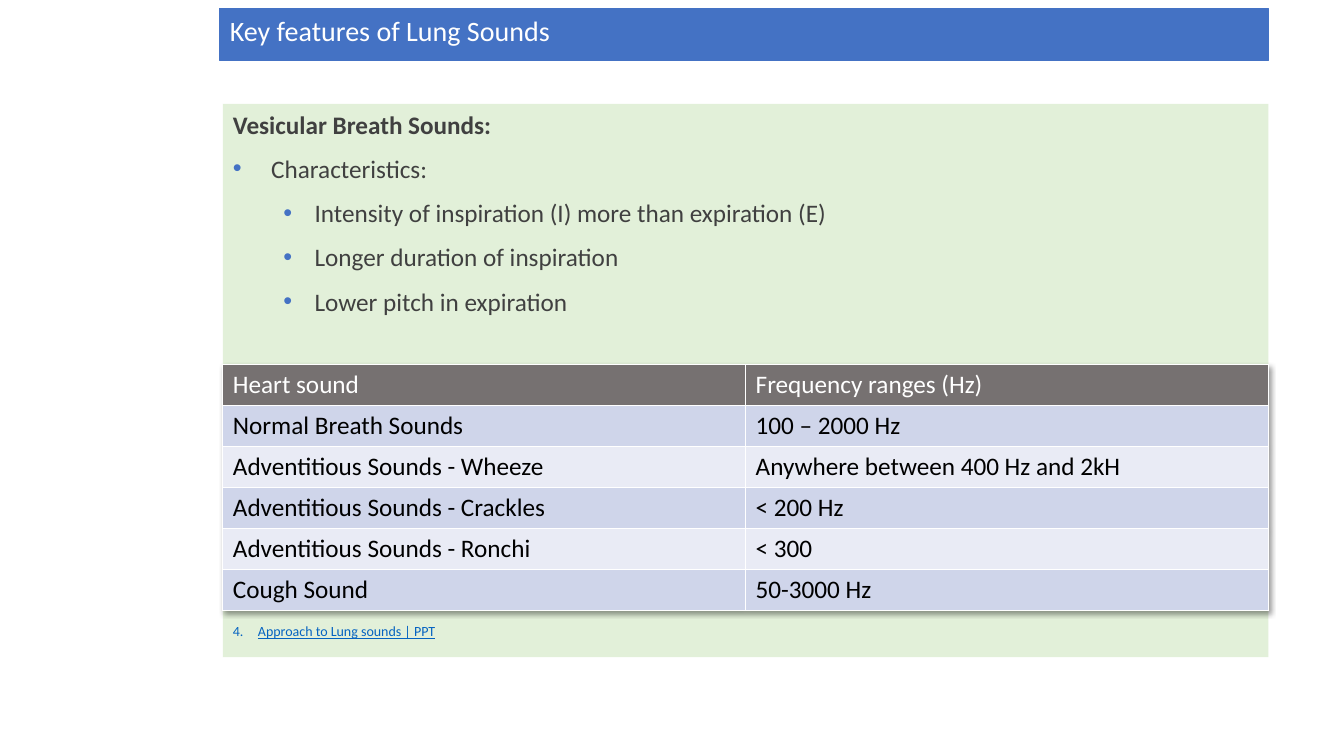
from lxml.etree import SubElement
from pptx import Presentation
from pptx.dml.color import RGBColor
from pptx.enum.text import MSO_ANCHOR as Anchor, MSO_AUTO_SIZE as AutoSize, PP_ALIGN as Align
from pptx.oxml import parse_xml
from pptx.oxml.ns import nsdecls, qn
from pptx.util import Inches, Pt

SLIDE_W, SLIDE_H = Inches(13.33), Inches(7.5)
FONT = "Calibri"
COLORS = {
    "accent": "4472C4", "panel": "E2F0D9", "body": "404040", "header": "767171",
    "band_dark": "CFD5EA", "band_light": "E9EBF5", "link": "0563C1",
    "white": "FFFFFF", "black": "000000",
}
LEFT, WIDTH = 16.58, 77.8  # content column, percent of the slide's width

CHARACTERISTICS = [
    "Intensity of inspiration (I) more than expiration (E)",
    "Longer duration of inspiration",
    "Lower pitch in expiration",
]
FREQUENCIES = [
    ("Heart sound", "Frequency ranges (Hz)"),
    ("Normal Breath Sounds", "100 – 2000 Hz"),
    ("Adventitious Sounds - Wheeze", "Anywhere between 400 Hz and 2kH"),
    ("Adventitious Sounds - Crackles", "< 200 Hz"),
    ("Adventitious Sounds - Ronchi", "< 300"),
    ("Cough Sound", "50-3000 Hz"),
]


def area(left, top, width, height):
    """Turn percentages of the slide into left, top, width, height."""
    return (int(SLIDE_W * left / 100), int(SLIDE_H * top / 100),
            int(SLIDE_W * width / 100), int(SLIDE_H * height / 100))


def rgb(name):
    return RGBColor.from_string(COLORS[name])


def paint(part, color):
    part.fill.solid()
    part.fill.fore_color.rgb = rgb(color)


def place(holder, box, color=None):
    holder.left, holder.top, holder.width, holder.height = box
    frame = holder.text_frame
    frame.word_wrap = True
    frame.auto_size = AutoSize.NONE
    frame.vertical_anchor = Anchor.TOP
    if color:
        paint(holder, color)
    return frame


def add_run(paragraph, text, size, color, bold=False, underline=False):
    run = paragraph.add_run()
    run.text = text
    font = run.font
    font.name, font.size, font.bold, font.underline = FONT, Pt(size), bold, underline
    font.color.rgb = rgb(color)


def format_paragraph(paragraph, indent=0, hanging=0, before=0, level=0):
    paragraph.alignment = Align.JUSTIFY
    paragraph.level = level
    paragraph.line_spacing = 1.0
    paragraph.space_before = Pt(before)
    props = paragraph._p.get_or_add_pPr()
    props.set("marL", str(Inches(indent)))
    props.set("indent", str(-Inches(hanging)))
    return props


def add_bullet(props):
    color = SubElement(props, qn("a:buClr"))
    SubElement(color, qn("a:srgbClr"), val=COLORS["accent"])
    SubElement(props, qn("a:buFont"), typeface="Arial")
    SubElement(props, qn("a:buChar"), char="•")


def add_title(slide):
    title = slide.shapes.title
    frame = place(title, area(16.35, 1.07, 78, 6.93), "accent")
    title.line.color.rgb = rgb("accent")
    title.line.width = Pt(0.75)
    frame.paragraphs[0].alignment = Align.LEFT
    add_run(frame.paragraphs[0], "Key features of Lung Sounds", 20, "white")


def add_features(slide):
    frame = place(slide.placeholders[1], area(LEFT, 13.73, WIDTH, 73.2), "panel")
    heading = frame.paragraphs[0]
    SubElement(format_paragraph(heading, before=10), qn("a:buNone"))
    add_run(heading, "Vesicular Breath Sounds:", 18, "body", bold=True)
    items = [("Characteristics:", 0, 0.38, 0.38)]
    items += [(text, 1, 0.81, 0.31) for text in CHARACTERISTICS]
    for text, level, indent, hanging in items:
        paragraph = frame.add_paragraph()
        add_bullet(format_paragraph(paragraph, indent, hanging, 10, level))
        add_run(paragraph, text, 18, "body")


def add_borders(cell):
    props = cell._tc.get_or_add_tcPr()
    for position, side in enumerate(("a:lnL", "a:lnR", "a:lnT", "a:lnB")):
        line = props.makeelement(qn(side), {"w": str(Pt(1))})
        solid = SubElement(line, qn("a:solidFill"))
        SubElement(solid, qn("a:srgbClr"), val=COLORS["white"])
        props.insert(position, line)


def add_frequency_table(slide):
    table = slide.shapes.add_table(
        len(FREQUENCIES), 2, *area(LEFT, 48.27, WIDTH, 32.4)).table
    for r, row in enumerate(FREQUENCIES):
        band = "header" if r == 0 else "band_dark" if r % 2 else "band_light"
        for c, text in enumerate(row):
            cell = table.cell(r, c)
            paint(cell, band)
            add_borders(cell)
            add_run(cell.text_frame.paragraphs[0], text, 18, "black" if r else "white")
    # Soft shadow around the whole table
    table._tbl.tblPr.insert(0, parse_xml(
        f'<a:effectLst {nsdecls("a")}><a:outerShdw blurRad="50800" dist="12700" dir="5400000">'
        f'<a:srgbClr val="{COLORS["black"]}"><a:alpha val="40000"/></a:srgbClr>'
        '</a:outerShdw></a:effectLst>'))


def add_reference(slide):
    frame = place(slide.shapes.add_textbox(0, 0, 0, 0), area(LEFT, 81.73, 78, 3.6))
    reference = frame.paragraphs[0]
    props = format_paragraph(reference, 0.25, 0.25)
    SubElement(props, qn("a:buFont"), typeface="+mj-lt")
    SubElement(props, qn("a:buAutoNum"), type="arabicPeriod", startAt="4")
    add_run(reference, "Approach to Lung sounds | PPT", 10, "link", underline=True)


def main():
    deck = Presentation()
    deck.slide_width, deck.slide_height = SLIDE_W, SLIDE_H
    slide = deck.slides.add_slide(deck.slide_layouts[1])
    add_title(slide)
    add_features(slide)
    add_frequency_table(slide)
    add_reference(slide)
    deck.save("out.pptx")


if __name__ == "__main__":
    main()
